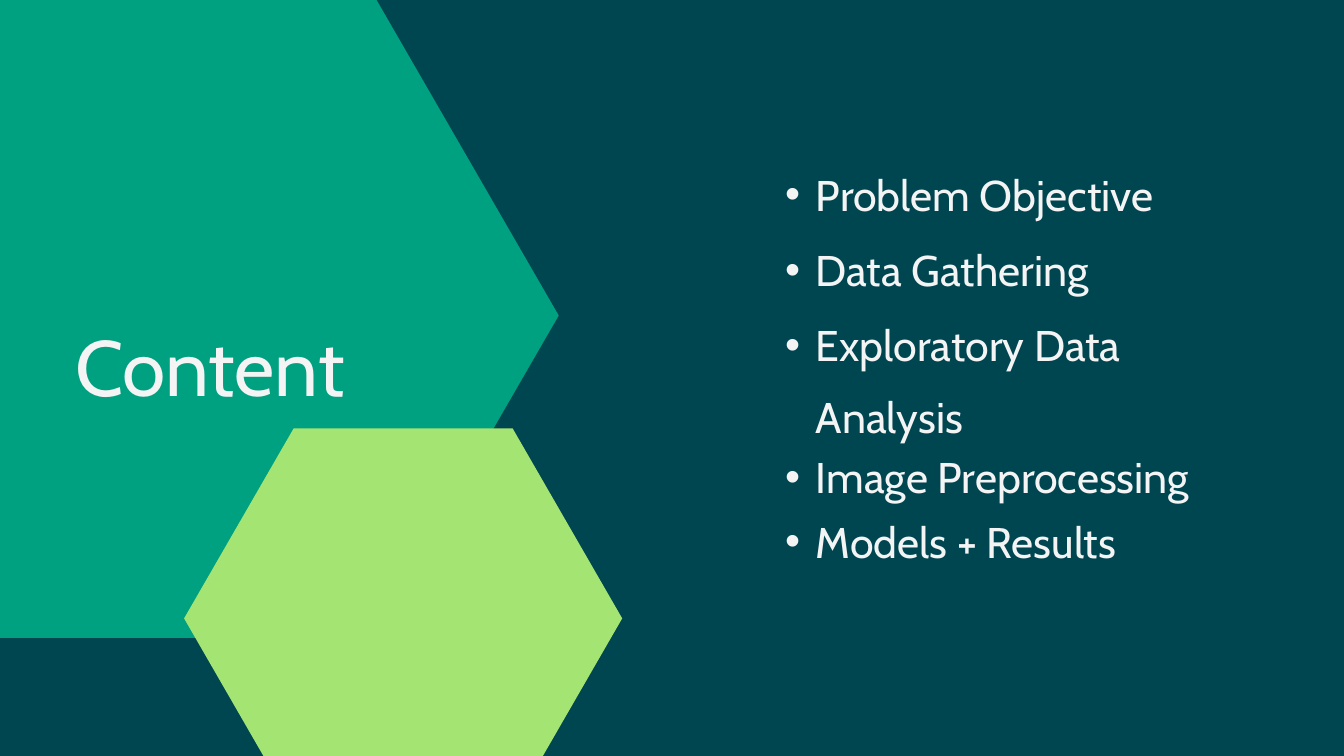
"""Build the content slide with two hexagons, a title and a bulleted agenda."""
from lxml.etree import SubElement
from pptx import Presentation
from pptx.dml.color import RGBColor as RGB
from pptx.enum.text import MSO_ANCHOR as ANCHOR, MSO_AUTO_SIZE as FIT, PP_ALIGN as ALIGN
from pptx.oxml.ns import qn
from pptx.util import Cm, Pt

COLORS = {"bg": "004651", "teal": "00A181", "lime": "A4E473", "text": "F4F4F4"}
AGENDA = [
    ("Problem Objective", 2.79, 0.99),
    ("Data Gathering", 4.22, 0.99),
    ("Exploratory Data Analysis", 5.64, 2.36),
    ("Image Preprocessing", 8.13, 0.99),
    ("Models + Results", 9.35, 0.99),
]


class Deck:
    font = "Cabin"

    def __init__(self, prs):
        self.s = prs.slides.add_slide(prs.slide_layouts[5])
        self.s.background.fill.solid()
        self.s.background.fill.fore_color.rgb = RGB.from_string(COLORS["bg"])

    def hexagon(self, x, y, w, h, color):
        corners = [(1, 0.5), (0.75, 1), (0.25, 1), (0, 0.5), (0.25, 0), (0.75, 0)]
        points = [(Cm(x + w * fx), Cm(y + h * fy)) for fx, fy in corners]
        fb = self.s.shapes.build_freeform(*points[0])
        fb.add_line_segments(points[1:], close=True)
        sp = fb.convert_to_shape()
        sp.shadow.inherit = False
        sp.fill.solid()
        sp.fill.fore_color.rgb = RGB.from_string(COLORS[color])
        sp.line.fill.background()

    def set_text(self, sp, text, size, spacing):
        tf = sp.text_frame
        tf.text = text
        tf.word_wrap = True
        tf.auto_size = FIT.NONE
        tf.vertical_anchor = ANCHOR.TOP
        tf.margin_left = tf.margin_right = tf.margin_top = tf.margin_bottom = 0
        p = tf.paragraphs[0]
        p.alignment = ALIGN.LEFT
        p.line_spacing = spacing
        r = p.runs[0]
        r.font.name = self.font
        r.font.size = Pt(size)
        r.font.color.rgb = RGB.from_string(COLORS["text"])
        return p

    def title(self, text, x, y, w, h):
        sp = self.s.shapes.title
        sp.left, sp.top, sp.width, sp.height = Cm(x), Cm(y), Cm(w), Cm(h)
        self.s.shapes.element.append(sp.element)
        self.set_text(sp, text, 42, 1.2)

    def bullet(self, text, x, y, w, h):
        sp = self.s.shapes.add_textbox(Cm(x), Cm(y), Cm(w), Cm(h))
        p = self.set_text(sp, text, 23, 1.4)
        pPr = p._p.get_or_add_pPr()
        pPr.set("marL", str(Cm(0.84)))
        pPr.set("indent", str(Cm(-0.58)))
        clr = SubElement(pPr, qn("a:buClr"))
        SubElement(clr, qn("a:srgbClr"), val=COLORS["text"])
        SubElement(pPr, qn("a:buFont"), typeface="Arial")
        SubElement(pPr, qn("a:buChar"), char="•")


def main():
    prs = Presentation()
    prs.slide_width, prs.slide_height = Cm(25.4), Cm(14.29)
    deck = Deck(prs)
    deck.hexagon(-3.51, -0.13, 14.07, 12.19, "teal")
    deck.hexagon(3.48, 8.1, 8.28, 7.18, "lime")
    deck.title("Content", 1.42, 5.66, 6.2, 1.8)
    for text, top, height in AGENDA:
        deck.bullet(text, 14.58, top, 9.17, height)
    prs.save("out.pptx")


if __name__ == "__main__":
    main()
